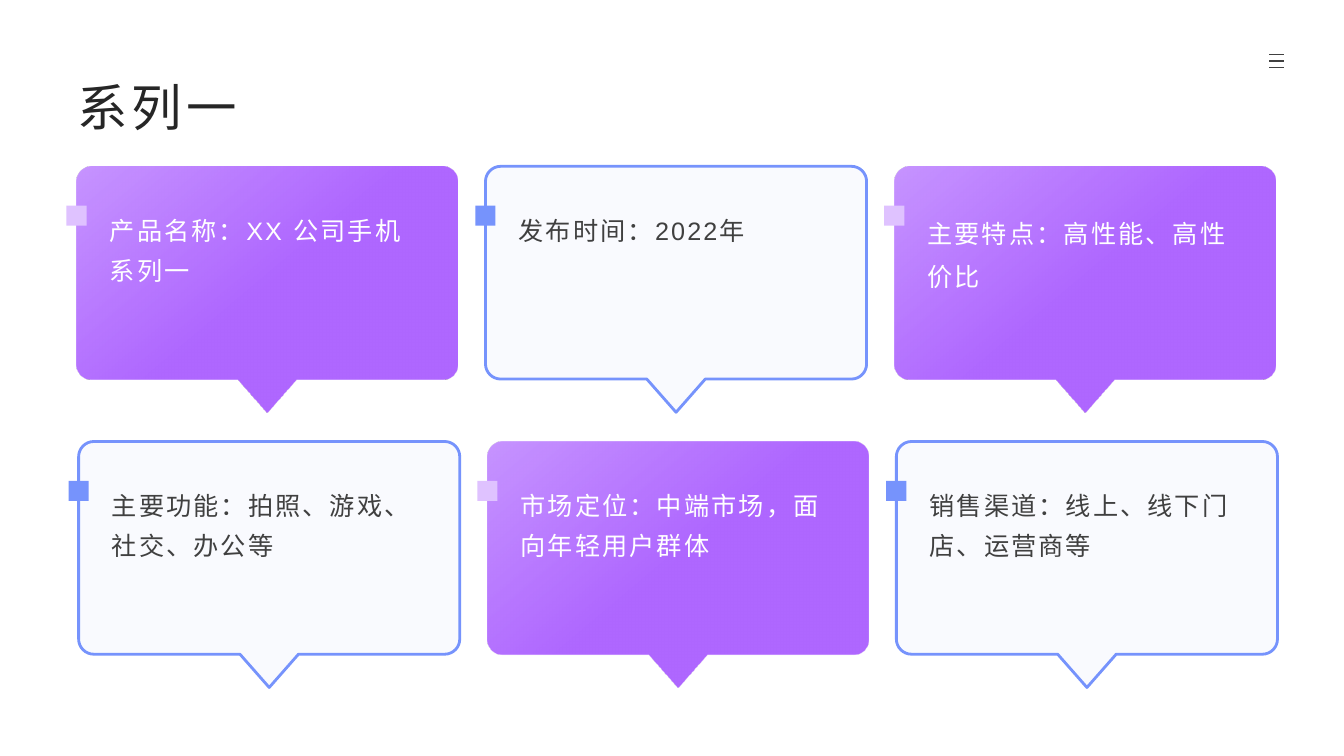
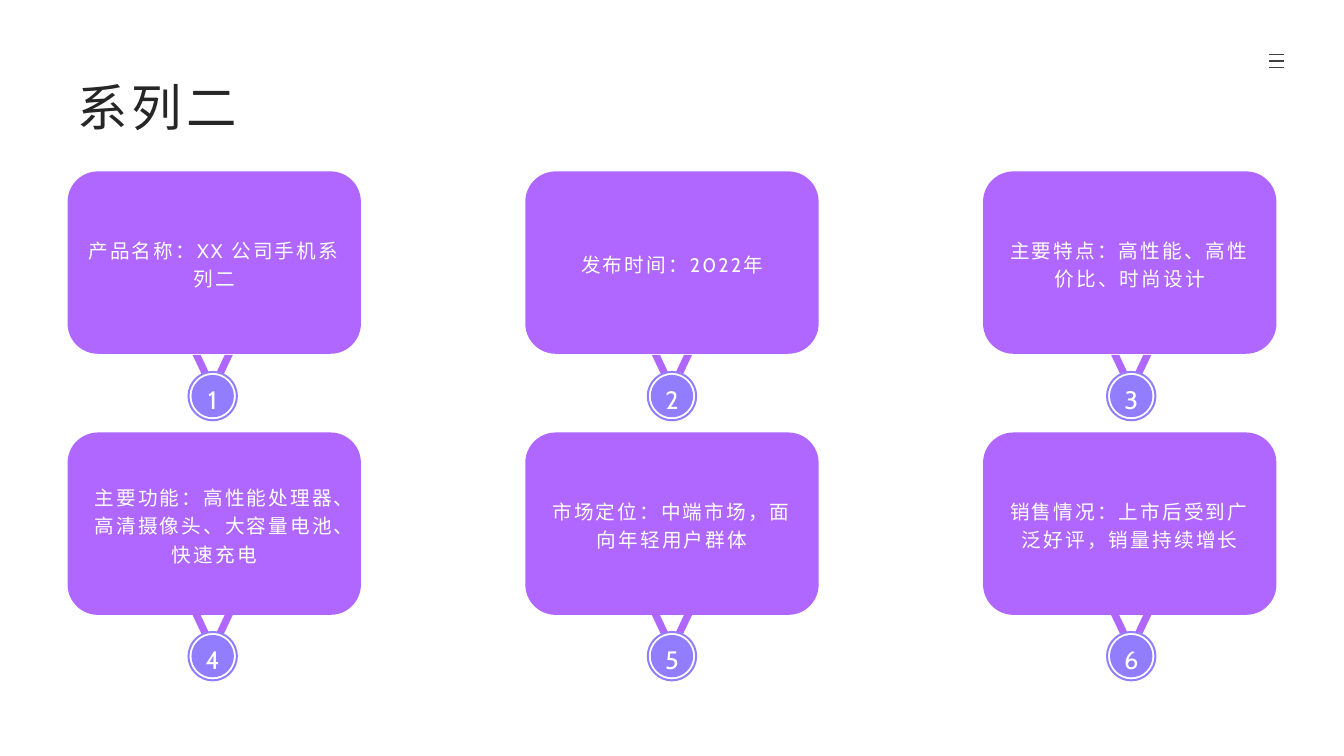
from dataclasses import dataclass

from lxml import etree
from pptx import Presentation
from pptx import util as u
from pptx.dml.color import RGBColor
from pptx.enum import lang, shapes, text
from pptx.oxml.ns import qn

COLORS = {
    "violet": "AF67FF", "violet_pale": "DFC2FF", "blue": "7693FC",
    "blue_pale": "E4E9FE", "indigo": "927DFE", "white": "FFFFFF",
    "body": "404040", "title": "262626",
}
SLIDE_W, SLIDE_H = 13.33, 7.5
COLUMNS = 3
BEZIER_ARC = 0.55  # handle length of a quarter circle, as a share of its radius

# Two numbers are a line's end; six are a curve's two handles and its end
Step = tuple[float, ...]


@dataclass(frozen=True)
class Grid:
    """Three columns and two rows, set by the first and last cell in inches."""
    left: float
    last_left: float
    top: float
    last_top: float
    row_shift: float = 0

    def cell(self, index: int) -> tuple[float, float]:
        row, column = divmod(index, COLUMNS)
        pitch = (self.last_left - self.left) / (COLUMNS - 1)
        return (self.left + column * pitch + row * self.row_shift,
                self.top + row * (self.last_top - self.top))


@dataclass(frozen=True)
class Style:
    size: float
    color: str
    font: str = "Cabin"
    tracking: float = 0
    spacing: float = 1
    align: text.PP_ALIGN = text.PP_ALIGN.LEFT
    anchor: text.MSO_ANCHOR = text.MSO_ANCHOR.TOP


@dataclass(frozen=True)
class Callout:
    wording: str
    spacing: float = 1.3


CENTER, MIDDLE = text.PP_ALIGN.CENTER, text.MSO_ANCHOR.MIDDLE
TITLE_STYLE = Style(36, "title", tracking=3, anchor=MIDDLE)
CARD_STYLE = Style(14, "white", tracking=1.5, spacing=1.2, align=CENTER, anchor=MIDDLE)
NUMBER_STYLE = Style(18, "white", spacing=1.2, align=CENTER, anchor=MIDDLE)

CALLOUT_GRID = Grid(0.76, 8.87, 1.65, 4.38, 0.02)
CARD_GRID = Grid(0.67, 9.75, 1.7, 4.29)
MEDAL_GRID = Grid(2.11, 11.22, 3.52, 6.1)

CALLOUTS = [
    Callout("产品名称：XX 公司手机系列一"),
    Callout("发布时间：2022年"),
    Callout("主要特点：高性能、高性价比", 1.4),
    Callout("主要功能：拍照、游戏、社交、办公等"),
    Callout("市场定位：中端市场，面向年轻用户群体"),
    Callout("销售渠道：线上、线下门店、运营商等"),
]
CARDS = [
    "产品名称：XX 公司手机系列二",
    "发布时间：2022年",
    "主要特点：高性能、高性价比、时尚设计",
    "主要功能：高性能处理器、高清摄像头、大容量电池、快速充电",
    "市场定位：中端市场，面向年轻用户群体",
    "销售情况：上市后受到广泛好评，销量持续增长",
]


def rgb(name: str) -> RGBColor:
    return RGBColor.from_string(COLORS[name])


def write(shape, wording: str, style: Style) -> None:
    frame = shape.text_frame
    frame.word_wrap = True
    frame.vertical_anchor = style.anchor
    frame.text = wording
    para = frame.paragraphs[0]
    para.alignment = style.align
    para.line_spacing = style.spacing
    span = para.runs[0]
    span.font.size = u.Pt(style.size)
    span.font.name = style.font
    span.font.color.rgb = rgb(style.color)
    span.font.language_id = lang.MSO_LANGUAGE_ID.SIMPLIFIED_CHINESE
    if style.tracking:
        span.font._element.set("spc", str(int(style.tracking * 100)))


def paint(shape, fill: str, line: str | None = None, weight: float = 0):
    shape.shadow.inherit = False
    shape.fill.solid()
    shape.fill.fore_color.rgb = rgb(fill)
    if line:
        shape.line.color.rgb = rgb(line)
        shape.line.width = u.Pt(weight)
    else:
        shape.line.fill.background()
    return shape


def set_first_alpha(shape, percent: int) -> None:
    """Make the first colour of the shape's fill see-through."""
    color = next(shape._element.spPr.iter(qn("a:srgbClr")))
    etree.SubElement(color, qn("a:alpha")).set("val", str(percent * 1000))


def add_preset(page, kind, left: float, top: float, width: float, height: float):
    return page.shapes.add_shape(kind, *map(u.Inches, (left, top, width, height)))


def add_textbox(page, left: float, top: float, width: float, height: float,
                wording: str, style: Style) -> None:
    box = page.shapes.add_textbox(*map(u.Inches, (left, top, width, height)))
    write(box, wording, style)


def add_outline(page, *contours: list[Step]):
    """Draw one freeform from closed contours of lines and curves."""
    builder = None
    for start, *steps in contours:
        x, y = map(u.Inches, start)
        if builder is None:
            builder = page.shapes.build_freeform(x, y)
        else:
            builder.move_to(x, y)
        points = [(u.Inches(step[i]), u.Inches(step[i + 1]))
                  for step in steps for i in range(0, len(step), 2)]
        builder.add_line_segments(points, close=True)
    shape = builder.convert_to_shape()

    # Join the three points of each curve into one Bezier segment
    segments = iter(list(shape._element.spPr.iter(qn("a:lnTo"))))
    for step in (step for contour in contours for step in contour[1:]):
        segment = next(segments)
        if len(step) == 6:
            segment.tag = qn("a:cubicBezTo")
            for _ in range(2):
                handle = next(segments)
                segment.append(handle[0])
                handle.getparent().remove(handle)
        elif step == contours[0][0]:
            continue
    return shape


def arc(x: float, y: float, corner_x: float, corner_y: float,
        end_x: float, end_y: float) -> Step:
    """Quarter circle from x, y to the end, bulging towards the corner."""
    return (x + BEZIER_ARC * (corner_x - x), y + BEZIER_ARC * (corner_y - y),
            end_x + BEZIER_ARC * (corner_x - end_x),
            end_y + BEZIER_ARC * (corner_y - end_y), end_x, end_y)


def circle(x: float, y: float, r: float) -> list[Step]:
    ends = [(0, -r), (r, 0), (0, r), (-r, 0), (0, -r)]
    return [(x, y - r)] + [
        arc(x + ax, y + ay, x + ax + bx, y + ay + by, x + bx, y + by)
        for (ax, ay), (bx, by) in zip(ends, ends[1:])]


def bubble(left: float, top: float) -> list[Step]:
    """Rounded rectangle with its tail on top, to be turned upside down."""
    width, tail, bottom, half_tail, r = 3.78, 0.33, 2.44, 0.29, 0.15
    right, middle, body, end = left + width, left + width / 2, top + tail, top + bottom
    return [
        (left + r, end), (right - r, end),
        arc(right - r, end, right, end, right, end - r),
        (right, body + r), arc(right, body + r, right, body, right - r, body),
        (middle + half_tail, body), (middle, top), (middle - half_tail, body),
        (left + r, body), arc(left + r, body, left, body, left, body + r),
        (left, end - r), arc(left, end - r, left, end, left + r, end),
    ]


def add_page(deck, title: str):
    page = deck.slides.add_slide(deck.slide_layouts[6])
    # Menu icon
    for i in range(3):
        y = u.Inches(0.54 + 0.13 * i / 2)
        bar = page.shapes.add_connector(
            shapes.MSO_CONNECTOR.STRAIGHT, u.Inches(12.59), y, u.Inches(12.74), y)
        bar.line.color.rgb = rgb("body")
        bar.line.width = u.Pt(1)
        etree.SubElement(bar._element.spPr, qn("a:effectLst"))
    add_textbox(page, 0.67, 0.67, 12, 0.77, title, TITLE_STYLE)
    return page


def add_callout(page, index: int, callout: Callout) -> None:
    left, top = CALLOUT_GRID.cell(index)
    filled = index % 2 == 0
    balloon = add_outline(page, bubble(left, top))
    balloon.rotation = 180
    if filled:
        paint(balloon, "violet")
        balloon.fill.gradient()
        balloon.fill.gradient_angle = 130
        for stop, position in zip(balloon.fill.gradient_stops, (0, 0.5)):
            stop.color.rgb = rgb("violet")
            stop.position = position
        set_first_alpha(balloon, 70)
    else:
        paint(balloon, "blue_pale", "blue", 2)
        set_first_alpha(balloon, 20)
    marker = add_preset(page, shapes.MSO_SHAPE.RECTANGLE, left - 0.1, top + 0.39, 0.2, 0.2)
    paint(marker, "violet_pale" if filled else "blue")
    style = Style(18, "white" if filled else "body", "Arial", 1.5, callout.spacing)
    add_textbox(page, left + 0.23, top + 0.35, 3.32, 1.38, callout.wording, style)


def add_medal(page, index: int) -> None:
    x, top = MEDAL_GRID.cell(index)
    # Ribbon: one strap and its mirror image
    strap = [(0.12, 0), (0.2, 0), (0.11, 0.19), (0.1, 0.18), (0.04, 0.17)]
    ribbon = add_outline(page, *([(x + side * dx, top + dy) for dx, dy in strap]
                                 for side in (1, -1)))
    paint(ribbon, "violet")
    # Numbered disc inside a thin ring
    disc = add_outline(page, *(circle(x, top + 0.41, r) for r in (0.21, 0.23, 0.25)))
    write(paint(disc, "indigo"), str(index + 1), NUMBER_STYLE)


def add_card(page, index: int, wording: str) -> None:
    card = add_preset(page, shapes.MSO_SHAPE.ROUNDED_RECTANGLE,
                      *CARD_GRID.cell(index), 2.91, 1.81)
    write(paint(card, "violet"), wording, CARD_STYLE)


def main() -> None:
    deck = Presentation()
    deck.slide_width, deck.slide_height = u.Inches(SLIDE_W), u.Inches(SLIDE_H)

    # Series one: speech bubbles
    page = add_page(deck, "系列一")
    for index, callout in enumerate(CALLOUTS):
        add_callout(page, index, callout)

    # Series two: medals behind cards
    page = add_page(deck, "系列二")
    for index in range(len(CARDS)):
        add_medal(page, index)
    for index, wording in enumerate(CARDS):
        add_card(page, index, wording)

    deck.save("out.pptx")


if __name__ == "__main__":
    main()
